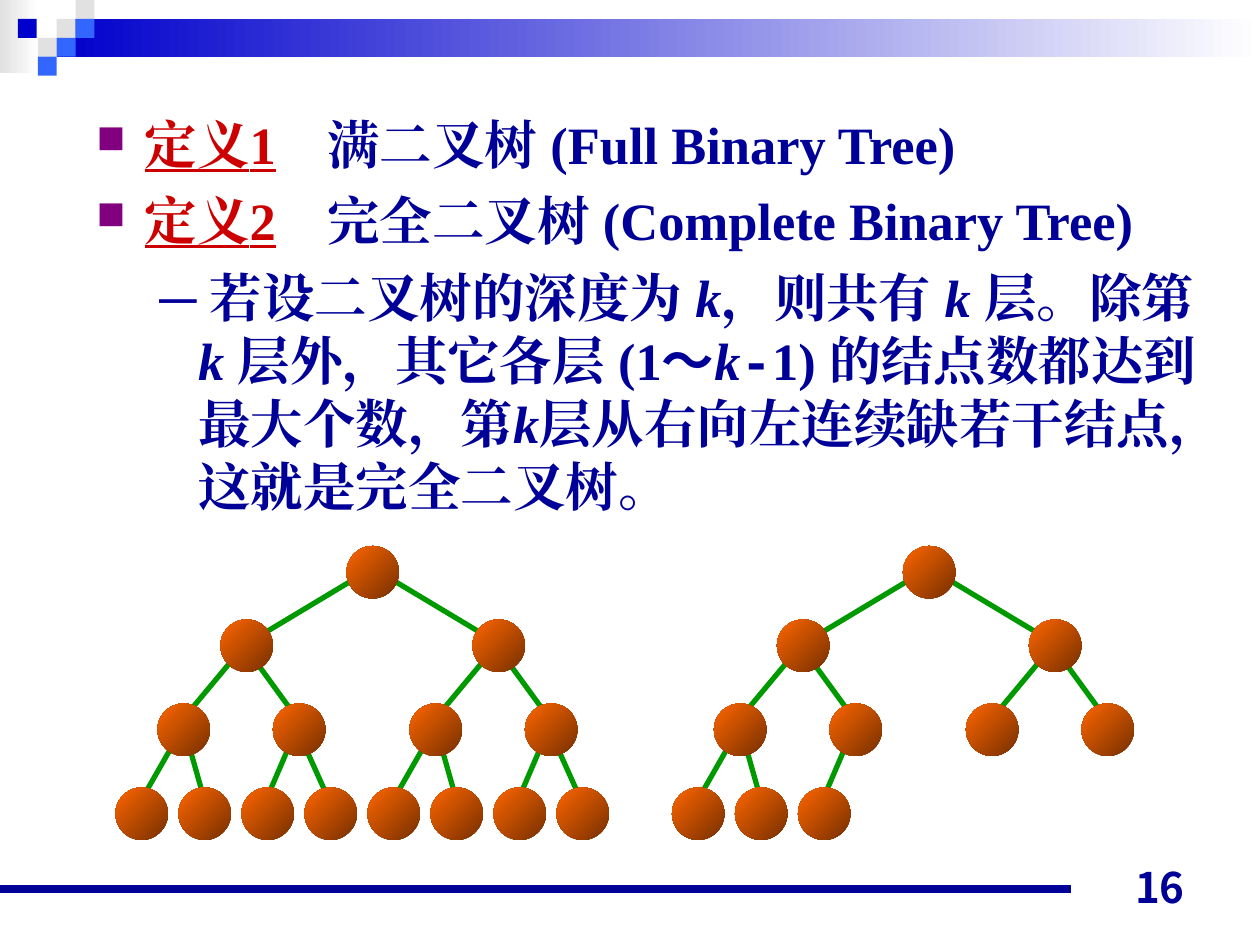
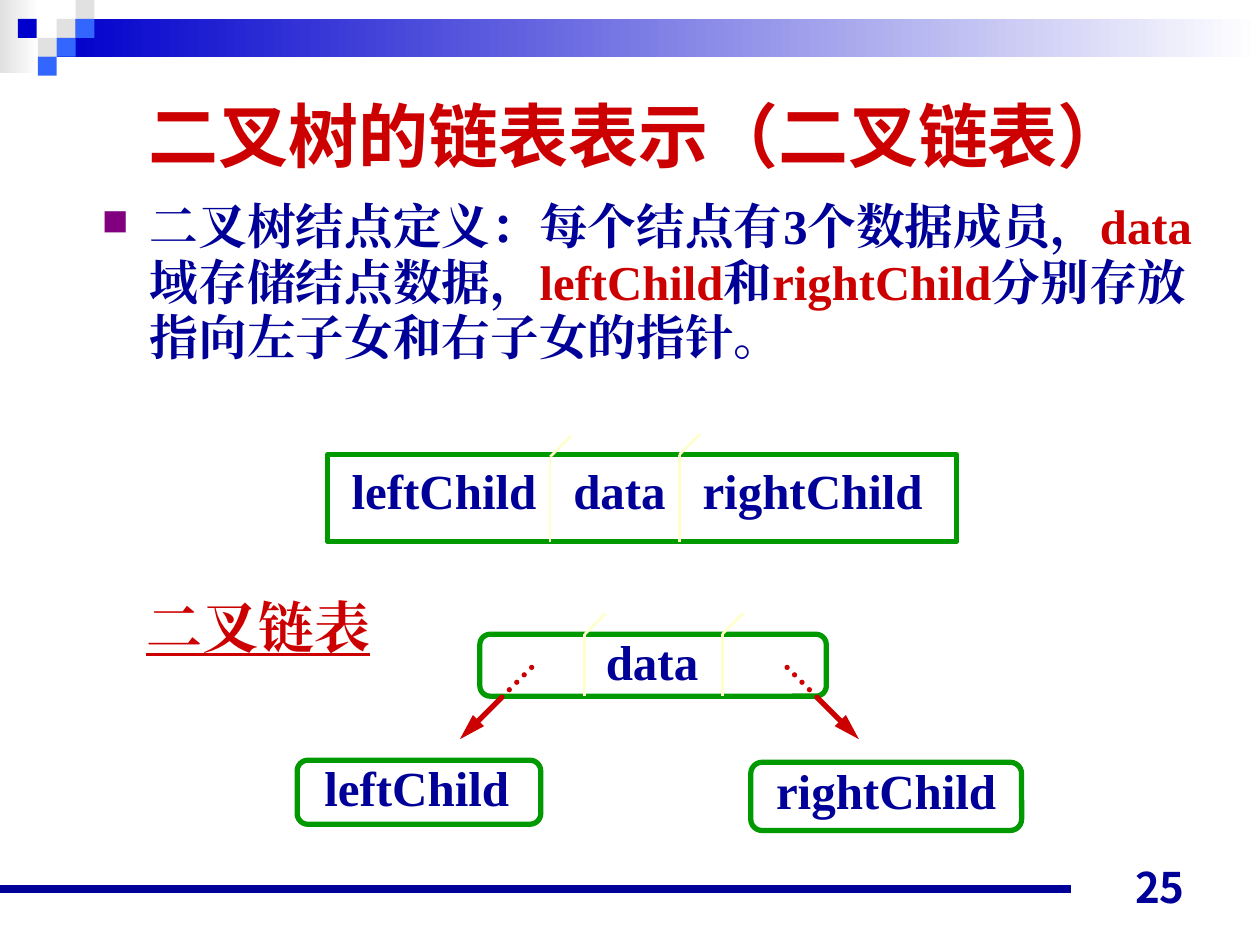
"""Build two slides on full and complete binary trees and on linked binary trees."""
from lxml import etree
from pptx import Presentation
from pptx.dml.color import RGBColor
from pptx.enum.dml import MSO_LINE
from pptx.enum.shapes import MSO_CONNECTOR, MSO_SHAPE
from pptx.enum.text import MSO_ANCHOR, MSO_AUTO_SIZE, PP_ALIGN
from pptx.oxml.ns import qn
from pptx.util import Pt

PX = 7620
COLOURS = {
    "navy": "000099", "blue": "0000CC", "sky": "3366FF", "grey": "E1E1E1",
    "white": "FFFFFF", "red": "CC0000", "green": "009900", "cream": "FFFFCC",
    "brown": "752F00", "orange": "FF6600", "purple": "800080",
}


def add_figure(page, kind, frame, fill, angle=0, outline=None):
    """Add a preset shape with a plain fill, or a gradient for a pair of colours."""
    figure = page.shapes.add_shape(kind, *[length * PX for length in frame])
    figure.shadow.inherit = False
    if isinstance(fill, tuple):
        figure.fill.gradient()
        figure.fill.gradient_angle = angle
        for stop, colour in zip(figure.fill.gradient_stops, fill):
            stop.color.rgb = RGBColor.from_string(COLOURS[colour])
    else:
        figure.fill.solid()
        figure.fill.fore_color.rgb = RGBColor.from_string(COLOURS[fill])
    if outline:
        figure.line.color.rgb = RGBColor.from_string(COLOURS[outline])
        figure.line.width = Pt(3)
    else:
        figure.line.fill.background()


def add_line(page, start, end, colour, width):
    """Add a straight line without shadow and return it."""
    ends = [length * PX for length in (*start, *end)]
    line = page.shapes.add_connector(MSO_CONNECTOR.STRAIGHT, *ends)
    line.line.color.rgb = RGBColor.from_string(COLOURS[colour])
    line.line.width = Pt(width)
    etree.SubElement(line._element.spPr, qn("a:effectLst"))
    return line


deck = Presentation()
deck.slide_width, deck.slide_height = 1200 * PX, 900 * PX
tree_page = deck.slides.add_slide(deck.slide_layouts[6])
list_page = deck.slides.add_slide(deck.slide_layouts[5])

SQUARES = [
    (54, 18, "grey"), (72, 0, "grey"), (72, 18, "sky"), (36, 36, "grey"),
    (17, 18, "blue"), (54, 36, "sky"), (36, 54, "sky"),
]
for page in (tree_page, list_page):
    add_figure(page, MSO_SHAPE.RECTANGLE, (0, 0, 37, 70), ("white", "grey"), 180)
    add_figure(page, MSO_SHAPE.RECTANGLE, (54, 18, 1146, 36), ("white", "blue"), 180)
    for left, top, colour in SQUARES:
        add_figure(page, MSO_SHAPE.RECTANGLE, (left, top, 18, 18), colour)
    add_line(page, (0, 847), (1020, 847), "navy", 4.5)

NODE_SIZE = 50
NODE_LEFTS = [330, 210, 450, 150, 260, 390, 500, *range(110, 531, 60)]
LEVEL_TOPS = [520, 590, 670, 750]
JOINTS = [
    [((10, 30), (30, 20)), ((40, 30), (20, 20))],
    [((10, 40), (20, 20)), ((30, 35), (20, 10))],
    [((20, 30), (20, 20)), ((30, 40), (27, 20))],
]
for tree_left, node_count in ((0, 15), (530, 10)):
    levels = [(index + 1).bit_length() - 1 for index in range(node_count)]
    nodes = [(tree_left + NODE_LEFTS[index], LEVEL_TOPS[level])
             for index, level in enumerate(levels)]
    for index in range(1, node_count):
        parent, side = divmod(index - 1, 2)
        leave, arrive = JOINTS[levels[parent]][side]
        start = [a + b for a, b in zip(nodes[parent], leave)]
        end = [a + b for a, b in zip(nodes[index], arrive)]
        add_line(tree_page, start, end, "green", 3)
    for left, top in nodes:
        add_figure(tree_page, MSO_SHAPE.OVAL, (left, top, NODE_SIZE, NODE_SIZE),
                   ("brown", "orange"), 135)

add_figure(list_page, MSO_SHAPE.RECTANGLE, (312, 433, 599, 83), "white", outline="green")
for frame in ((457, 604, 330, 59), (715, 726, 258, 65), (283, 724, 232, 61)):
    add_figure(list_page, MSO_SHAPE.ROUNDED_RECTANGLE, frame, "white", outline="green")
for x, top, bottom in ((524, 435, 516), (647, 433, 516), (557, 604, 663), (688, 604, 663)):
    add_line(list_page, (x, bottom), (x, top), "cream", 1.5)
    add_line(list_page, (x, top), (x + 20, top - 20), "cream", 1.5)
for edge_x, step in ((478, -1), (778, 1)):
    dots = add_line(list_page, (edge_x, 664), (edge_x - 30 * step, 634), "red", 3)
    dots.line.dash_style = MSO_LINE.ROUND_DOT
    dots.line._ln.set("cap", "rnd")
    arrow = add_line(list_page, (edge_x, 664), (edge_x + 40 * step, 704), "red", 3)
    etree.SubElement(arrow.line._ln, qn("a:tailEnd"), type="triangle", w="med", len="lg")

TIMES, SANS = "Times New Roman", "Noto Sans CJK SC"
STYLES = {
    "term": {"name": TIMES, "size": Pt(30), "colour": "red", "underline": True},
    "body": {"name": TIMES, "size": Pt(30), "colour": "navy"},
    "italic": {"name": TIMES, "size": Pt(30), "colour": "navy", "italic": True},
    "wave": {"name": SANS, "size": Pt(30), "colour": "navy"},
    "minus": {"name": "Courier New", "size": Pt(30), "colour": "navy"},
    "member": {"name": TIMES, "size": Pt(27.8), "colour": "red"},
    "member text": {"name": TIMES, "size": Pt(27.8), "colour": "navy"},
    "label": {"name": TIMES, "size": Pt(28), "colour": "navy"},
    "heading": {"name": TIMES, "size": Pt(32), "colour": "red", "underline": True},
    "title": {"name": "Arial", "size": Pt(40), "colour": "red"},
    "number": {"name": "Noto Sans CJK JP", "size": Pt(24), "colour": "navy"},
}
BULLET = {"margin": 46, "indent": -46, "bullet": True, "tab": 220}
DETAIL = {"margin": 97, "indent": -37}
LEFT = {"alignment": PP_ALIGN.LEFT}
CENTRE = {"alignment": PP_ALIGN.CENTER}
RIGHT = {"alignment": PP_ALIGN.RIGHT}
SPACED = {"space_before": Pt(7.5)}

definitions = [
    (BULLET, LEFT, [("定义1", "term"), ("\t满二叉树 (Full Binary Tree)", "body")]),
    (BULLET, SPACED, [("定义2", "term"), ("\t完全二叉树 (Complete Binary Tree)", "body")]),
    (DETAIL, SPACED, [
        ("─ 若设二叉树的深度为 ", "body"), ("k", "italic"), ("，则共有 ", "body"),
        ("k ", "italic"), ("层。除第 ", "body"), ("k ", "italic"),
        ("层外，其它各层 (1", "body"), ("～", "wave"), ("k", "italic"), ("-", "minus"),
        ("1) 的结点数都达到最大个数，第", "body"), ("k", "italic"),
        ("层从右向左连续缺若干结点，这就是完全二叉树。", "body"),
    ]),
]
members = [(BULLET, {"line_spacing": 0.95}, [
    ("二叉树结点定义：每个结点有3个数据成员，", "member text"), ("data", "member"),
    ("域存储结点数据，", "member text"), ("leftChild", "member"), ("和", "member text"),
    ("rightChild", "member"), ("分别存放指向左子女和右子女的指针。", "member text"),
])]

texts = [
    (tree_page, None, (80, 101, 1080, 510), MSO_ANCHOR.TOP, True, definitions),
    (list_page, None, (85, 185, 1063, 208), MSO_ANCHOR.TOP, True, members),
    (list_page, list_page.shapes.title, (68, 62, 1080, 132), MSO_ANCHOR.MIDDLE, True,
     [({}, CENTRE, [("二叉树的链表表示（二叉链表）", "title")])]),
    (list_page, None, (127, 558, 238, 77), MSO_ANCHOR.MIDDLE, False,
     [({}, CENTRE, [("二叉链表", "heading")])]),
]
LABELS = [
    ("leftChild", 423, 433), ("data", 590, 433), ("rightChild", 774, 433),
    ("data", 621, 595), ("leftChild", 397, 715), ("rightChild", 844, 718),
]
for label, centre, top in LABELS:
    texts.append((list_page, None, (centre - 115, top, 230, 68), MSO_ANCHOR.MIDDLE, False,
                  [({}, CENTRE, [(label, "label")])]))
for page, number in ((tree_page, "16"), (list_page, "25")):
    texts.append((page, None, (860, 814, 280, 60), MSO_ANCHOR.BOTTOM, True,
                  [({}, RIGHT, [(number, "number")])]))

for page, holder, frame, anchor, wrap, paras in texts:
    box = holder or page.shapes.add_textbox(0, 0, 0, 0)
    for name, length in zip(("left", "top", "width", "height"), frame):
        setattr(box, name, length * PX)
    text_frame = box.text_frame
    text_frame.auto_size = MSO_AUTO_SIZE.NONE
    text_frame.vertical_anchor = anchor
    text_frame.word_wrap = wrap
    for position, (layout, formats, spans) in enumerate(paras):
        para = text_frame.add_paragraph() if position else text_frame.paragraphs[0]
        properties = para._p.get_or_add_pPr()
        if layout:
            properties.set("marL", str(layout["margin"] * PX))
            properties.set("indent", str(layout["indent"] * PX))
        if "bullet" in layout:
            bullet_colour = etree.SubElement(properties, qn("a:buClr"))
            etree.SubElement(bullet_colour, qn("a:srgbClr"), val=COLOURS["purple"])
            etree.SubElement(properties, qn("a:buSzPct"), val="75000")
            etree.SubElement(properties, qn("a:buChar"), char="■")
            tabs = etree.SubElement(properties, qn("a:tabLst"))
            etree.SubElement(tabs, qn("a:tab"), pos=str(layout["tab"] * PX), algn="l")
        for name, value in formats.items():
            setattr(para, name, value)
        for text, style in spans:
            span = para.add_run()
            span.text = text
            span.font.bold = True
            for name, value in STYLES[style].items():
                if name == "colour":
                    span.font.color.rgb = RGBColor.from_string(COLOURS[value])
                else:
                    setattr(span.font, name, value)
            etree.SubElement(span._r.rPr, qn("a:ea"), typeface=STYLES[style]["name"])

deck.save("out.pptx")
